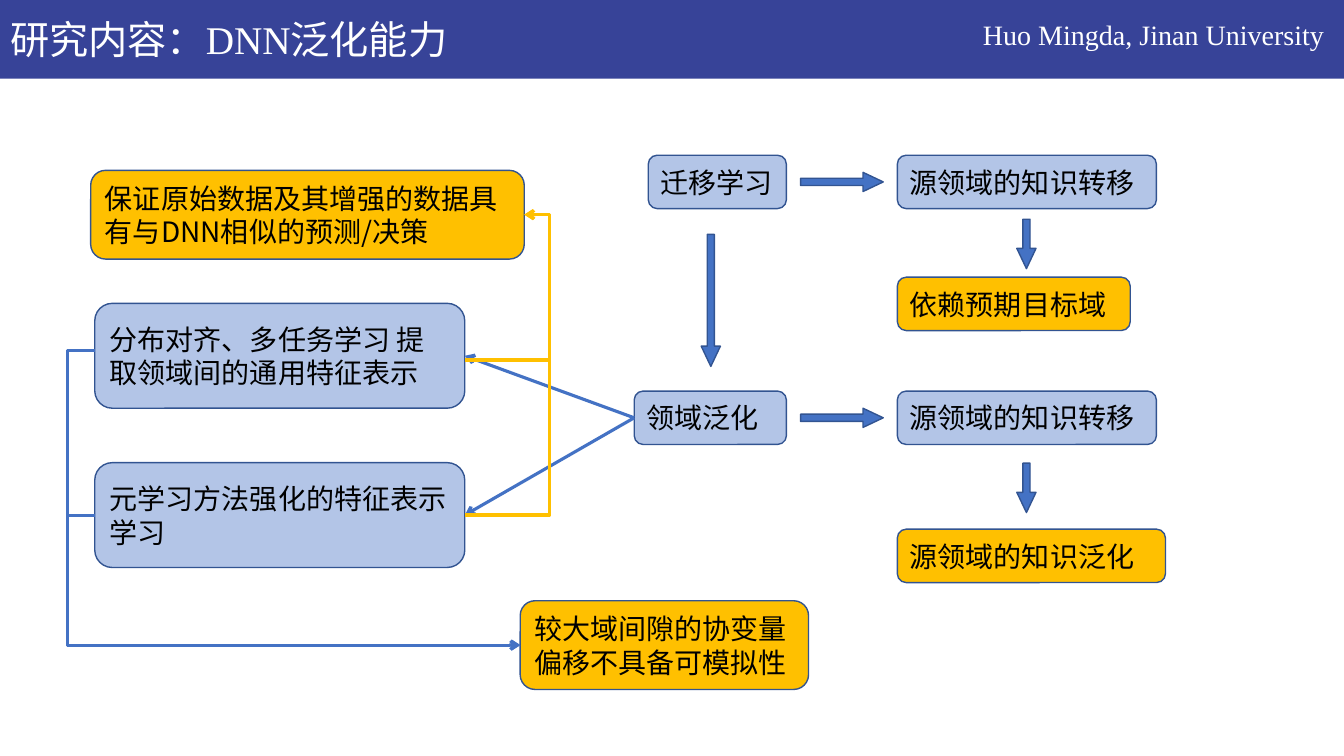
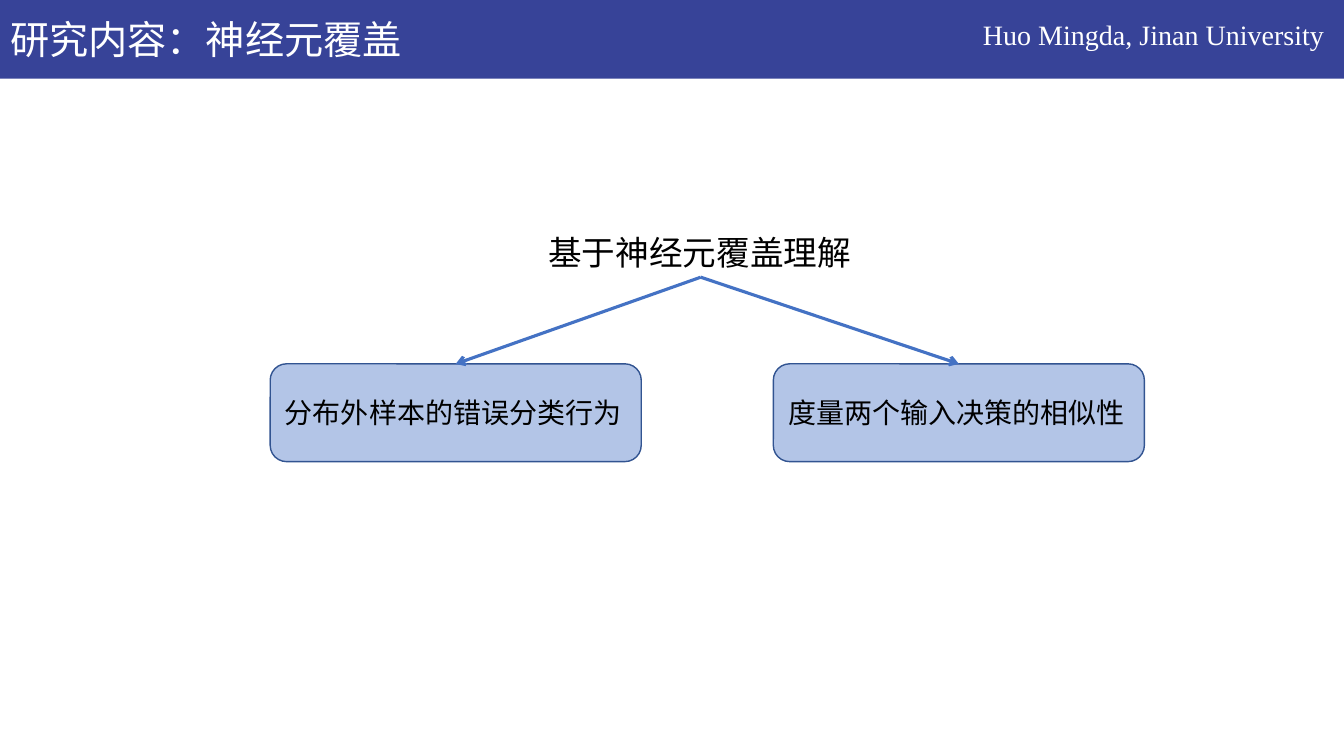
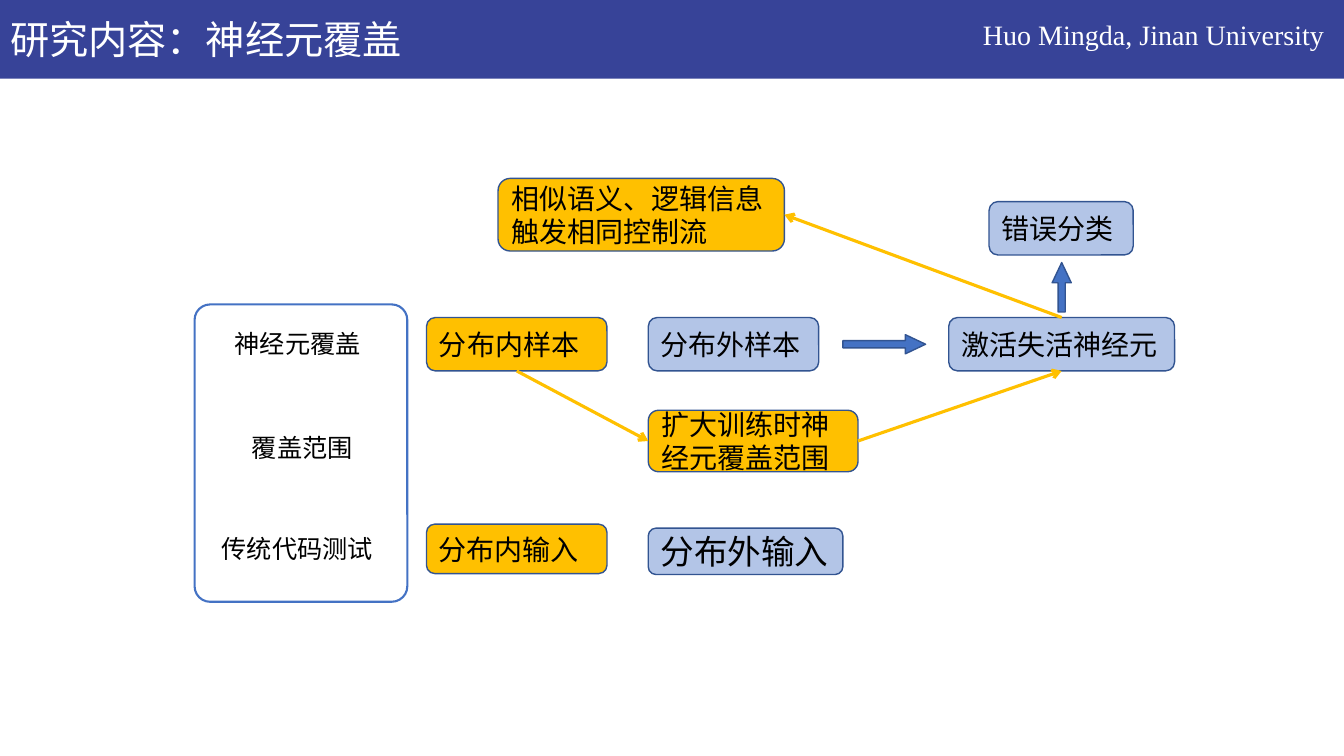
import dataclasses

import lxml.etree
import pptx
import pptx.dml.color
import pptx.enum.shapes
import pptx.enum.text
import pptx.oxml.ns
import pptx.util

COLORS = {
    "band": "374398",
    "white": "FFFFFF",
    "black": "000000",
    "pale": "8FAADC",
    "gold": "FFC000",
    "blue": "4472C4",
    "edge": "325491",
}
SERIF = "Times New Roman"
SANS = "Noto Sans CJK SC"
PALE_ALPHA = 68
AUTHOR = "Huo Mingda, Jinan University"

Inches = pptx.util.Inches
SHAPES = pptx.enum.shapes.MSO_SHAPE
CONNECTORS = pptx.enum.shapes.MSO_CONNECTOR
ANCHORS = pptx.enum.text.MSO_ANCHOR
qn = pptx.oxml.ns.qn


@dataclasses.dataclass
class Box:
    left: float
    top: float
    width: float
    height: float

    def at(self, x, y, width, height):
        return Box(self.left + x, self.top + y, width, height)

    def point(self, across, down):
        return self.left + across * self.width, self.top + down * self.height

    def inches(self):
        return [Inches(value) for value in dataclasses.astuple(self)]


def rgb(name):
    return pptx.dml.color.RGBColor.from_string(COLORS[name])


def write(shape, text, size=20, font=SANS, color="black", anchor=ANCHORS.TOP, inset=None):
    frame = shape.text_frame
    frame.word_wrap = True
    frame.vertical_anchor = anchor
    if inset is not None:
        frame.margin_left = frame.margin_right = Inches(inset)
        frame.margin_top = frame.margin_bottom = Inches(inset)
    para = frame.paragraphs[0]
    para.alignment = pptx.enum.text.PP_ALIGN.LEFT
    span = para.add_run()
    span.text = text
    span.font.size = pptx.util.Pt(size)
    span.font.color.rgb = rgb(color)
    span.font.name = font
    lxml.etree.SubElement(span.font._element, qn("a:ea"), typeface=SANS)


def add_label(page, box, text, **style):
    write(page.shapes.add_textbox(*box.inches()), text, **style)


def draw(page, box, kind, fill=None, line=None, width=1):
    shape = page.shapes.add_shape(kind, *box.inches())
    shape.shadow.inherit = False
    if fill:
        shape.fill.solid()
        shape.fill.fore_color.rgb = rgb(fill)
    else:
        shape.fill.background()
    if line:
        shape.line.color.rgb = rgb(line)
        shape.line.width = pptx.util.Pt(width)
    else:
        shape.line.fill.background()
    return shape


def add_node(page, box, text, fill="pale", **style):
    shape = draw(page, box, SHAPES.ROUNDED_RECTANGLE, fill, "edge")
    if fill == "pale":
        color = shape._element.spPr.find(qn("a:solidFill"))[0]
        lxml.etree.SubElement(color, qn("a:alpha"), val=str(PALE_ALPHA * 1000))
    write(shape, text, anchor=ANCHORS.MIDDLE, **style)
    return box


def add_block_arrow(page, center, length=0.82, rotation=0):
    thickness = 0.19
    box = Box(center[0] - length / 2, center[1] - thickness / 2, length, thickness)
    shape = draw(page, box, SHAPES.RIGHT_ARROW, "blue", "edge")
    shape.adjustments[0] = 0.375
    shape.adjustments[1] = 1.055
    shape.rotation = rotation


def add_link(page, start, end, color="blue", bend_x=None):
    kind = CONNECTORS.STRAIGHT if bend_x is None else CONNECTORS.ELBOW
    link = page.shapes.add_connector(kind, *[Inches(value) for value in (*start, *end)])
    link.line.color.rgb = rgb(color)
    link.line.width = pptx.util.Pt(2.25)
    properties = link._element.spPr
    lxml.etree.SubElement(properties.find(qn("a:ln")), qn("a:tailEnd"), type="arrow")
    lxml.etree.SubElement(properties, qn("a:effectLst"))
    if bend_x is not None:
        ratio = round((bend_x - start[0]) / (end[0] - start[0]) * 100000)
        guides = properties.find(qn("a:prstGeom")).find(qn("a:avLst"))
        lxml.etree.SubElement(guides, qn("a:gd"), name="adj1", fmla=f"val {ratio}")


def add_page(deck, title):
    page = deck.slides.add_slide(deck.slide_layouts[6])
    band = Box(0, 0, 13.33, 0.78)
    draw(page, band, SHAPES.RECTANGLE, "band")
    add_label(page, band.at(0.1, 0.15, 4.72, 0.47), title,
              size=28, font=SERIF, color="white", inset=0)
    add_label(page, band.at(9.65, 0.12, 3.75, 0.44), AUTHOR, font=SERIF, color="white")
    return page


def add_transfer_flow(page, area):
    row, second_row, column = 0.53, 2.34, 2.61
    add_node(page, area.at(0.14, 0, 1.37, row), "迁移学习", font=SERIF)
    domain = add_node(page, area.at(0, second_row, 1.51, row), "领域泛化", font=SERIF)
    for top in (0, second_row):
        add_node(page, area.at(column, top, 2.57, row), "源领域的知识转移", font=SERIF)
        add_block_arrow(page, area.at(2.06, top + row / 2, 0, 0).point(0, 0))
    add_node(page, area.at(column, 1.21, 2.31, row), "依赖预期目标域", "gold")
    add_node(page, area.at(column, 3.71, 2.66, row), "源领域的知识泛化", "gold", font=SERIF)
    for x, y, length in ((3.89, 0.88, 0.49), (3.89, 3.3, 0.49), (0.76, 1.44, 1.31)):
        add_block_arrow(page, area.at(x, y, 0, 0).point(0, 0), length, 90)
    return domain


def add_methods(page, area, domain):
    aligned = add_node(page, area.at(0.27, 1.32, 3.67, 1.04),
                       "分布对齐、多任务学习 提取领域间的通用特征表示", font=SERIF)
    learned = add_node(page, area.at(0.27, 2.9, 3.67, 1.04),
                       "元学习方法强化的特征表示学习", font=SERIF)
    shifted = add_node(page, area.at(4.49, 4.27, 2.86, 0.88),
                       "较大域间隙的协变量偏移不具备可模拟性", "gold")
    assured = add_node(page, area.at(0.23, 0, 4.3, 0.88),
                       "保证原始数据及其增强的数据具有与DNN相似的预测/决策", "gold")
    for method in (aligned, learned):
        add_link(page, domain.point(0, 0.5), method.point(1, 0.5))
    for method, leave, enter in ((learned, 0.5, 0.5), (aligned, 0.45, 0.54)):
        add_link(page, method.point(0, leave), shifted.point(0, 0.5), bend_x=area.left)
        add_link(page, method.point(1, enter), assured.point(1, 0.5), "gold", area.left + 4.78)


def add_coverage_tree(page, area):
    root = area.at(2.66, 0, 3.22, 0.5)
    add_label(page, root, "基于神经元覆盖理解", size=24)
    for x, text in ((0, "分布外样本的错误分类行为"), (4.99, "度量两个输入决策的相似性")):
        leaf = add_node(page, area.at(x, 1.36, 3.68, 0.97), text)
        add_link(page, root.point(0.5, 1), leaf.point(0.5, 0))


def add_test_levels(page, area):
    for x, y, width, text in (
        (0.3, 0.19, 1.51, "神经元覆盖"),
        (0.47, 1.22, 1.3, "覆盖范围"),
        (0.17, 2.22, 1.76, "传统代码测试"),
    ):
        add_label(page, area.at(x, y, width, 0.4), text, size=18)
    frame = draw(page, area, SHAPES.ROUNDED_RECTANGLE, line="blue", width=1.5)
    frame.adjustments[0] = 0.073


def add_sample_flow(page, area):
    row, sample_top, column = 0.53, 1.38, 2.2
    similar = add_node(page, area.at(0.71, 0, 2.84, 0.72),
                       "相似语义、逻辑信息触发相同控制流", "gold")
    inside = add_node(page, area.at(0, sample_top, 1.79, row), "分布内样本", "gold")
    add_node(page, area.at(column, sample_top, 1.69, row), "分布外样本", font=SERIF)
    neuron = add_node(page, area.at(5.18, sample_top, 2.24, row), "激活失活神经元", font=SERIF)
    add_node(page, area.at(5.58, 0.23, 1.43, row), "错误分类", font=SERIF)
    widened = add_node(page, area.at(column, 2.3, 2.08, 0.61),
                       "扩大训练时神经元覆盖范围", "gold")
    add_node(page, area.at(0, 3.43, 1.79, 0.49), "分布内输入", "gold")
    add_node(page, area.at(column, 3.47, 1.93, 0.46), "分布外输入", size=24, font=SERIF)
    add_block_arrow(page, area.at(4.54, sample_top + row / 2, 0, 0).point(0, 0))
    add_block_arrow(page, area.at(6.3, 1.08, 0, 0).point(0, 0), 0.49, 270)
    for start, end in (
        (inside.point(0.5, 1), widened.point(0, 0.5)),
        (widened.point(1, 0.5), neuron.point(0.5, 1)),
        (neuron.point(0.5, 0), similar.point(1, 0.5)),
    ):
        add_link(page, start, end, "gold")


def main():
    deck = pptx.Presentation()
    deck.slide_width, deck.slide_height = Inches(13.33), Inches(7.5)

    page = add_page(deck, "研究内容：DNN泛化能力")
    domain = add_transfer_flow(page, Box(6.29, 1.54, 5.27, 4.24))
    add_methods(page, Box(0.67, 1.69, 7.35, 5.15), domain)

    page = add_page(deck, "研究内容：神经元覆盖")
    add_coverage_tree(page, Box(2.68, 2.25, 8.67, 2.33))

    page = add_page(deck, "研究内容：神经元覆盖")
    add_test_levels(page, Box(1.93, 3.02, 2.11, 2.95))
    add_sample_flow(page, Box(4.23, 1.77, 7.42, 3.93))

    deck.save("out.pptx")


if __name__ == "__main__":
    main()
